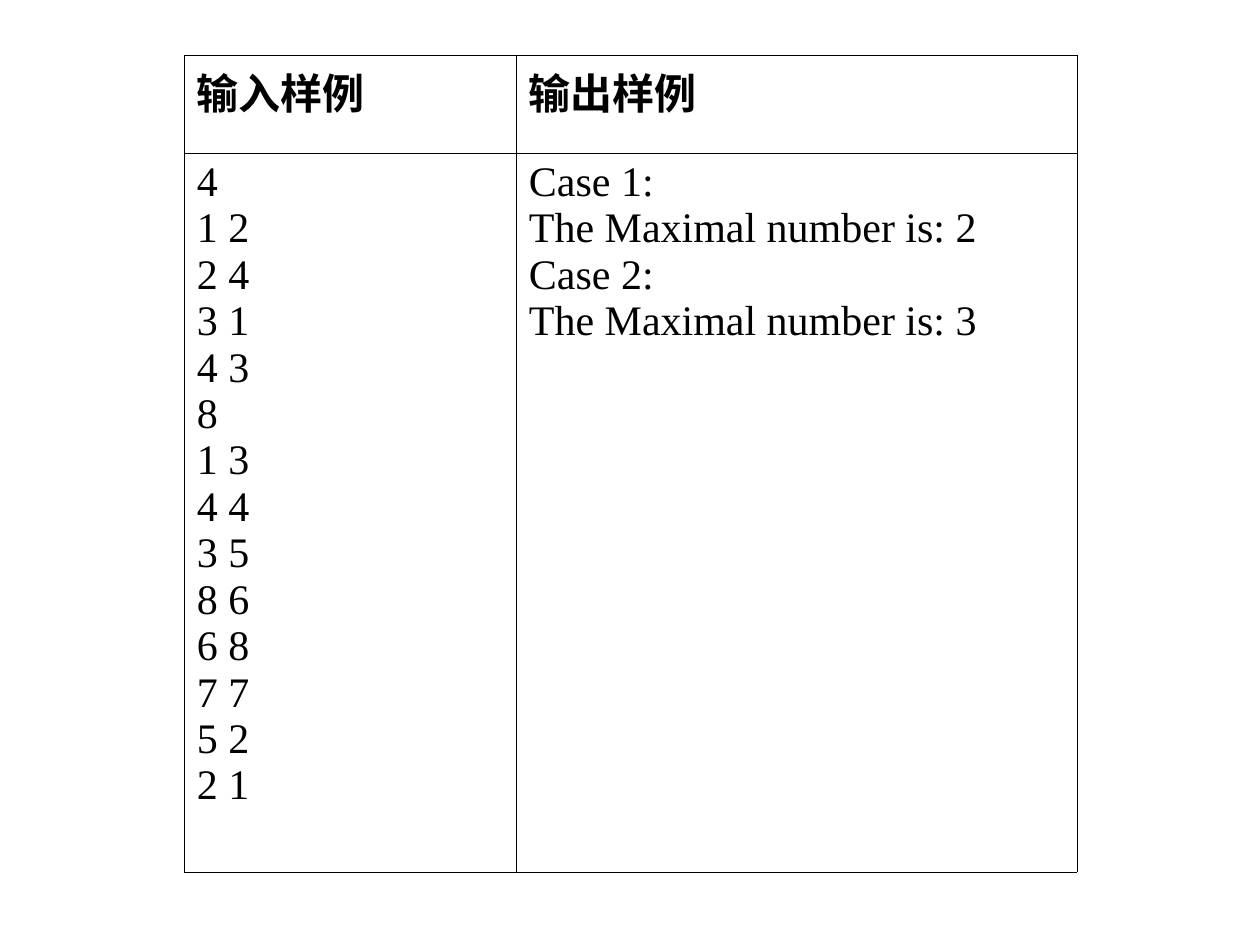
from dataclasses import dataclass

from lxml.etree import SubElement
from pptx import Presentation
from pptx.dml.color import RGBColor
from pptx.oxml.ns import qn
from pptx.util import Emu, Pt

EMU_PER_PX = 914400 / 126
FONT = "Times New Roman"
BLACK = "000000"
WHITE = "FFFFFF"
COLUMN_WIDTHS = (332, 561)
ROW_HEIGHTS = (98, 719)


@dataclass(frozen=True)
class Sample:
    heading: str
    lines: tuple[str, ...]


SAMPLES = (
    Sample("输入样例", ("4", "1 2", "2 4", "3 1", "4 3", "8", "1 3", "4 4",
                    "3 5", "8 6", "6 8", "7 7", "5 2", "2 1")),
    Sample("输出样例", ("Case 1:", "The Maximal number is: 2",
                    "Case 2:", "The Maximal number is: 3")),
)


def px(length: int) -> Emu:
    return Emu(round(length * EMU_PER_PX))


def color(value: str) -> RGBColor:
    return RGBColor.from_string(value)


def set_borders(cell, line_color: str, width: float) -> None:
    tc_pr = cell._tc.get_or_add_tcPr()
    for i, side in enumerate(("lnL", "lnR", "lnT", "lnB")):
        ln = SubElement(tc_pr, qn(f"a:{side}"), w=str(Pt(width)))
        fill = SubElement(ln, qn("a:solidFill"))
        SubElement(fill, qn("a:srgbClr"), val=line_color)
        tc_pr.insert(i, ln)


def fill_cell(cell, lines: tuple[str, ...], bold: bool) -> None:
    cell.fill.solid()
    cell.fill.fore_color.rgb = color(WHITE)
    set_borders(cell, BLACK, 0.45)
    cell.margin_left = cell.margin_right = px(13)
    cell.margin_top = cell.margin_bottom = px(6)
    tf = cell.text_frame
    tf.text = "\n".join(lines)
    for p in tf.paragraphs:
        for r in p.runs:
            r.font.name = FONT
            r.font.size = Pt(24)
            r.font.bold = bold
            r.font.color.rgb = color(BLACK)


def add_sample_table(s, samples: tuple[Sample, ...]) -> None:
    table = s.shapes.add_table(
        len(ROW_HEIGHTS), len(samples), px(184), px(55),
        px(sum(COLUMN_WIDTHS)), px(sum(ROW_HEIGHTS))).table
    table.first_row = False
    table.horz_banding = False
    for row, height in zip(table.rows, ROW_HEIGHTS):
        row.height = px(height)
    for i, (sample, width) in enumerate(zip(samples, COLUMN_WIDTHS)):
        table.columns[i].width = px(width)
        fill_cell(table.cell(0, i), (sample.heading,), True)
        fill_cell(table.cell(1, i), sample.lines, False)


def main() -> None:
    prs = Presentation()
    prs.slide_width, prs.slide_height = px(1260), px(945)
    s = prs.slides.add_slide(prs.slide_layouts[6])
    add_sample_table(s, SAMPLES)
    prs.save("out.pptx")


if __name__ == "__main__":
    main()
